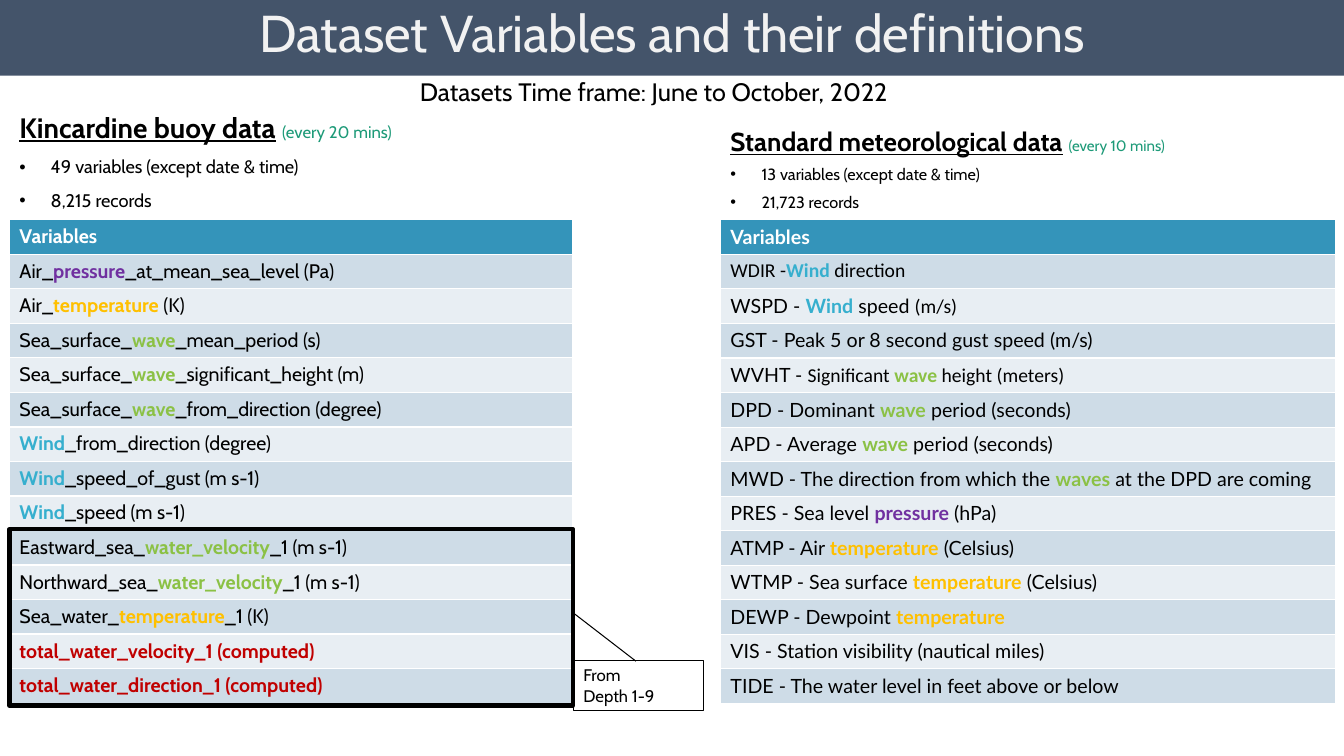
from lxml.etree import SubElement
from pptx import Presentation
from pptx.dml.color import RGBColor as Rgb
from pptx.enum.shapes import MSO_SHAPE as Preset
from pptx.enum.text import MSO_ANCHOR as Anchor, MSO_AUTO_SIZE as AutoSize, PP_ALIGN as Align
from pptx.oxml.ns import qn
from pptx.util import Inches, Pt

BLACK, WHITE, GREEN = "000000", "FFFFFF", "1D9A78"
HEADER, BANDS = "3494BA", ("CEDCE7", "E8EEF3")
COMPUTED = ["total_water_velocity_1 (computed)", "total_water_direction_1 (computed)"]
TOPIC_COLORS = {
    "pressure": "7030A0", "temperature": "FFC000", "Wind": "36AFCE",
    "wave": "8BC145", "waves": "8BC145", "water_velocity": "8BC145",
    **dict.fromkeys(COMPUTED, "C00000"),
}
BUOY_VARIABLES = [
    "Air_*pressure*_at_mean_sea_level (Pa)",
    "Air_*temperature* (K)",
    "Sea_surface_*wave*_mean_period (s)",
    "Sea_surface_*wave*_significant_height (m)",
    "Sea_surface_*wave*_from_direction (degree)",
    "*Wind*_from_direction (degree)",
    "*Wind*_speed_of_gust (m s-1)",
    "*Wind*_speed (m s-1)",
    "Eastward_sea_*water_velocity*_1 (m s-1)",
    "Northward_sea_*water_velocity*_1 (m s-1)",
    "Sea_water_*temperature*_1 (K)",
    *(f"*{name}*" for name in COMPUTED),
]
WEATHER_VARIABLES = [
    "~WDIR -*Wind* direction",
    "WSPD - *Wind* speed ~(m/s)",
    "GST - Peak 5 or 8 second gust speed (m/s)",
    "WVHT - ~Significant *wave* height (meters)",
    "DPD - Dominant *wave* period (seconds)",
    "APD - Average *wave* period (seconds)",
    "MWD - The direction from which the *waves* at the DPD are coming",
    "PRES - Sea level *pressure* (hPa)",
    "ATMP - Air *temperature* (Celsius)",
    "WTMP - Sea surface *temperature* (Celsius)",
    "DEWP - Dewpoint *temperature*",
    "VIS - Station visibility (nautical miles)",
    "TIDE - The water level in feet above or below",
]


def rgb(code):
    return Rgb.from_string(code)


def apply(target, formats):
    for attribute, value in formats.items():
        setattr(target, attribute, value)


class DatasetSlide:
    """Draw on one slide, with lengths in hundredths of its width and height."""

    font = "Cabin"

    def __init__(self, deck):
        self.column, self.row = deck.slide_width / 100, deck.slide_height / 100
        self.slide = deck.slides.add_slide(deck.slide_layouts[3])
        self.shapes = self.slide.shapes

    def area(self, left, top, width, height):
        return [round(length * unit) for length, unit in
                zip((left, top, width, height), (self.column, self.row) * 2)]

    def add_words(self, paragraph, text, color, size, **formats):
        run = paragraph.add_run()
        run.text = text
        apply(run.font, {"name": self.font, "size": Pt(size), "bold": False, **formats})
        run.font.color.rgb = rgb(color)

    def frame(self, shape):
        apply(shape.text_frame, {"word_wrap": True, "auto_size": AutoSize.NONE,
                                 "vertical_anchor": Anchor.TOP})
        return shape.text_frame

    def place(self, index, area):
        holder = self.slide.placeholders[index]
        apply(holder, dict(zip(("left", "top", "width", "height"), self.area(*area))))
        return self.frame(holder)

    def title(self, text, area):
        heading = self.place(0, area).paragraphs[0]
        apply(heading, {"alignment": Align.CENTER, "line_spacing": 0.9})
        self.add_words(heading, text, "F2F2F2", 37)

    def summary(self, index, area, name, interval, facts, sizes, spacing):
        body = self.place(index, area)
        for number, fact in enumerate([None, *facts]):
            line = body.paragraphs[0] if number == 0 else body.add_paragraph()
            properties = line._p.get_or_add_pPr()
            indent = Inches(0.31) if fact else 0
            properties.set("marL", str(indent))
            properties.set("indent", str(-indent))
            apply(line, {"line_spacing": spacing, "alignment": Align.LEFT,
                         "space_before": Pt(10 if fact else 0)})
            if fact:
                SubElement(properties, qn("a:buFont"), typeface="Arial")
                SubElement(properties, qn("a:buChar"), char="•")
                self.add_words(line, fact, BLACK, sizes[2])
            else:
                SubElement(properties, qn("a:buNone"))
                self.add_words(line, name, BLACK, sizes[0], bold=True, underline=True)
                self.add_words(line, " ", BLACK, sizes[0], bold=True)
                self.add_words(line, interval, GREEN, sizes[1])

    def caption(self, text, area):
        caption = self.frame(self.shapes.add_textbox(*self.area(*area)))
        self.add_words(caption.paragraphs[0], text, BLACK, 18)

    def table(self, variables, area, font):
        cells = self.shapes.add_table(len(variables) + 1, 1, *self.area(*area)).table
        for number, variable in enumerate(["Variables", *variables]):
            cell = cells.cell(number, 0)
            cell.fill.solid()
            cell.fill.fore_color.rgb = rgb(BANDS[(number - 1) % 2] if number else HEADER)
            line, face = cell.text_frame.paragraphs[0], font
            if number == 0:
                self.add_words(line, variable, WHITE, 14, name=face, bold=True)
                continue
            for part, words in enumerate(variable.split("*")):
                for switch, text in enumerate(words.split("~")):
                    face = "Calibri" if switch else face
                    if text:
                        color = TOPIC_COLORS[text] if part % 2 else BLACK
                        self.add_words(line, text, color, 14, name=face, bold=part % 2 == 1)

    def shape(self, preset, area, fill=None, line=None, weight=1):
        shape = self.shapes.add_shape(preset, *self.area(*area))
        shape.shadow.inherit = False
        for paint, color in ((shape.fill, fill), (shape.line.fill, line)):
            if color:
                paint.solid()
                paint.fore_color.rgb = rgb(color)
            else:
                paint.background()
        if line:
            shape.line.width = Pt(weight)
        return shape

    def band(self, area, color):
        band = self.shape(Preset.RECTANGLE, area, fill=color)
        self.shapes._spTree.insert(2, band._element)

    def callout(self, lines, area, pointer):
        note = self.shape(Preset.LINE_CALLOUT_1, area, line=BLACK, weight=0.75)
        for number, value in enumerate(pointer):
            note.adjustments[number] = value
        text = self.frame(note)
        for number, words in enumerate(lines):
            line = text.add_paragraph() if number else text.paragraphs[0]
            line.alignment = Align.LEFT
            self.add_words(line, words, BLACK, 12)


def main():
    deck = Presentation()
    apply(deck, {"slide_width": Inches(13.33), "slide_height": Inches(7.5)})
    page = DatasetSlide(deck)
    buoy_left, weather_left, table_top, table_height = 0.7, 53.6, 29.07, 64
    buoy_width = 41.93

    page.band((0, 0, 100, 10), "44546A")
    page.title("Dataset Variables and their definitions", (14.78, 0.4, 70.44, 10))
    page.caption("Datasets Time frame: June to October, 2022", (30.5, 9.47, 39, 5.33))
    page.summary(1, (buoy_left, 14.4, 44, 14.67), "Kincardine buoy data", "(every 20 mins)",
                 ["49 variables (except date & time)", "8,215 records"], (20, 12, 13), 0.9)
    page.summary(2, (weather_left, 17.07, 44, 12), "Standard meteorological data",
                 "(every 10 mins)", ["13 variables (except date & time)", "21,723 records"],
                 (18.6, 10.8, 11.6), 0.7)
    page.table(BUOY_VARIABLES, (buoy_left, table_top, buoy_width, table_height), "Cabin")
    page.table(WEATHER_VARIABLES, (weather_left, table_top, 45.76, table_height), "Lato")
    page.shape(Preset.RECTANGLE, (buoy_left, 70, buoy_width, 23.33), line=BLACK, weight=3)
    page.callout(["From", "Depth 1-9"], (42.67, 87.33, 9.68, 6.7), (-0.95, -0.01, 0.02, 0.48))
    deck.save("out.pptx")


if __name__ == "__main__":
    main()
